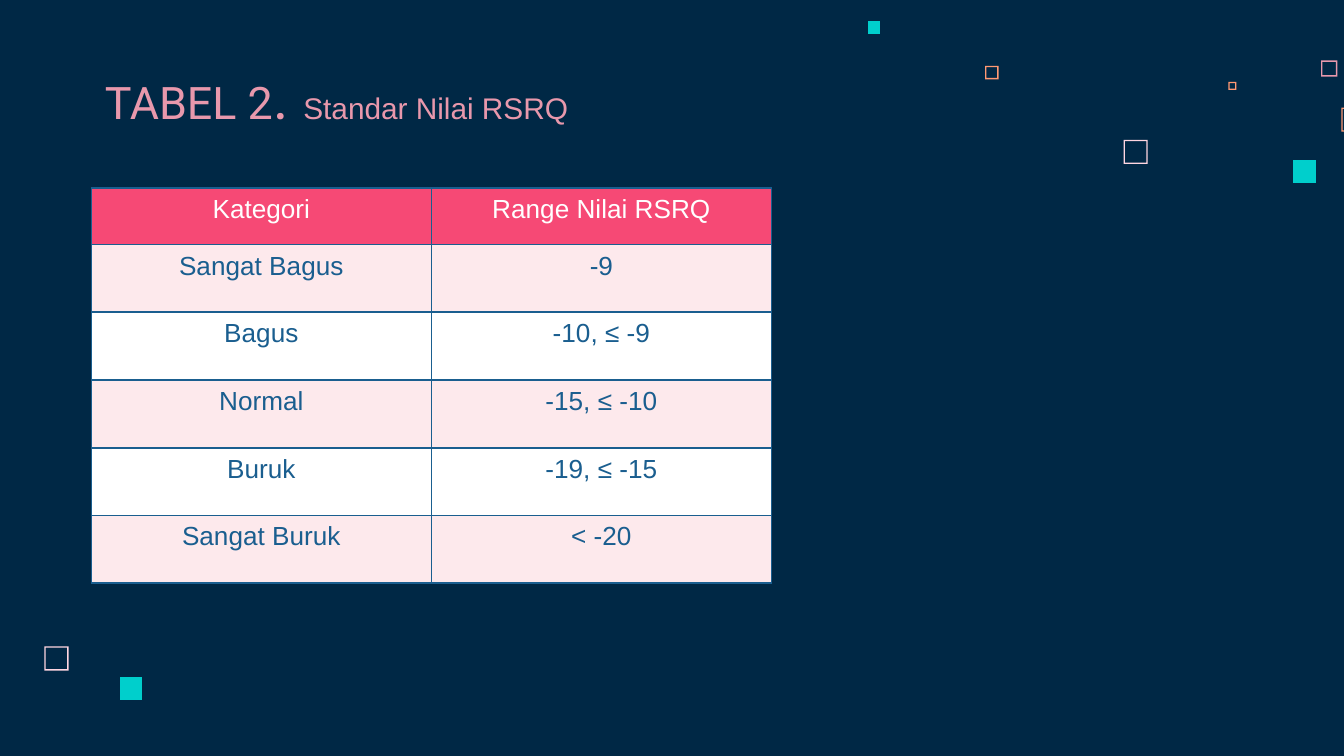
"""Build the slide with the table of RSRQ signal ranges."""
from dataclasses import dataclass

from lxml.etree import SubElement
from pptx import Presentation
from pptx.dml.color import RGBColor
from pptx.enum.text import MSO_ANCHOR, MSO_AUTO_SIZE, PP_ALIGN
from pptx.oxml.ns import qn
from pptx.util import Inches, Pt


@dataclass(frozen=True)
class Theme:
    back: str = "002845"
    rose: str = "E898AC"
    blush: str = "FFD6E1"
    coral: str = "FF9973"
    teal: str = "00CFCC"
    head: str = "F64975"
    band: str = "FDE9EC"
    white: str = "FFFFFF"
    blue: str = "1A5E8F"
    sans: str = "Arial"
    display: str = "Roboto"
    label: int = 24
    stop: int = 32
    title: int = 16
    cell: int = 14


def write(para, text, *, font, size, color, align=PP_ALIGN.LEFT):
    run = para.add_run()
    run.text = text
    run.font.name = font
    run.font.size = Pt(size)
    run.font.bold = False
    run.font.color.rgb = RGBColor.from_string(color)
    para.alignment = align


def paint(fill, color):
    fill.solid()
    fill.fore_color.rgb = RGBColor.from_string(color)


class Deck:
    def __init__(self, theme):
        self.theme = theme
        self.file = Presentation()
        self.file.slide_width = Inches(10)
        self.file.slide_height = Inches(10 * 9 / 16)
        self.slide = self.file.slides.add_slide(self.file.slide_layouts[5])
        paint(self.slide.background.fill, theme.back)

    def square(self, left, top, size, color, edge=0):
        def corners(inset):
            x, y, far = left + inset, top + inset, size - 2 * inset
            points = [(x, y), (x + far, y), (x + far, y + far), (x, y + far)]
            return [(Inches(a), Inches(b)) for a, b in points]

        outer = corners(0)
        form = self.slide.shapes.build_freeform(*outer[0])
        form.add_line_segments(outer[1:])
        if edge:
            inner = corners(edge)[::-1]
            form.move_to(*inner[0])
            form.add_line_segments(inner[1:])
        shape = form.convert_to_shape()
        shape.shadow.inherit = False
        shape.line.fill.background()
        paint(shape.fill, color)

    def title(self, left, top, width, height, runs):
        box = self.slide.shapes.title
        box.left, box.top = Inches(left), Inches(top)
        box.width, box.height = Inches(width), Inches(height)
        frame = box.text_frame
        frame.auto_size = MSO_AUTO_SIZE.NONE
        frame.word_wrap = True
        frame.vertical_anchor = MSO_ANCHOR.BOTTOM
        frame.margin_left = frame.margin_right = Inches(0.1)
        frame.margin_top = frame.margin_bottom = Inches(0.1)
        for text, font, size in runs:
            write(frame.paragraphs[0], text, font=font, size=size,
                  color=self.theme.rose)

    def border(self, cell):
        props = cell._tc.get_or_add_tcPr()
        for side in ("lnL", "lnR", "lnT", "lnB"):
            line = SubElement(props, qn(f"a:{side}"), w=str(Pt(1)))
            fill = SubElement(line, qn("a:solidFill"))
            SubElement(fill, qn("a:srgbClr"), val=self.theme.blue)

    def table(self, left, top, width, height, first, rows):
        look = self.theme
        frame = self.slide.shapes.add_table(
            len(rows), len(rows[0]), Inches(left), Inches(top),
            Inches(width), Inches(height))
        grid = frame.table
        grid.horz_banding = False
        for col in grid.columns:
            col.width = Inches(width / len(rows[0]))
        rest = (height - first) / (len(rows) - 1)
        for i, row in enumerate(rows):
            grid.rows[i].height = Inches(rest if i else first)
            shade = look.head if i == 0 else (look.white, look.band)[i % 2]
            for j, text in enumerate(row):
                cell = grid.cell(i, j)
                self.border(cell)
                paint(cell.fill, shade)
                write(cell.text_frame.paragraphs[0], text, font=look.sans,
                      size=look.cell, align=PP_ALIGN.CENTER,
                      color=look.blue if i else look.white)

    def save(self):
        self.file.save("out.pptx")


def main():
    look = Theme()
    deck = Deck(look)
    squares = [
        (8.36, 1.04, 0.18, look.blush, 0.01),
        (9.83, 0.45, 0.12, look.rose, 0.01),
        (9.14, 0.61, 0.06, look.coral, 0.01),
        (9.98, 0.8, 0.18, look.coral, 0.01),
        (9.62, 1.19, 0.17, look.teal),
        (7.33, 0.49, 0.1, look.coral, 0.01),
        (6.46, 0.16, 0.09, look.teal),
        (0.33, 4.81, 0.18, look.blush, 0.01),
        (0.89, 5.04, 0.17, look.teal),
    ]
    for square in squares:
        deck.square(*square)
    deck.title(0.68, 0.45, 6.44, 0.63, [
        ("TABEL 2", look.display, look.label),
        (". ", look.display, look.stop),
        ("Standar Nilai RSRQ", look.sans, look.title),
    ])
    deck.table(0.68, 1.4, 5.06, 2.94, 0.42, [
        ("Kategori", "Range Nilai RSRQ"),
        ("Sangat Bagus", "-9"),
        ("Bagus", "-10, ≤ -9"),
        ("Normal", "-15, ≤ -10"),
        ("Buruk", "-19, ≤ -15"),
        ("Sangat Buruk", "< -20"),
    ])
    deck.save()


if __name__ == "__main__":
    main()
